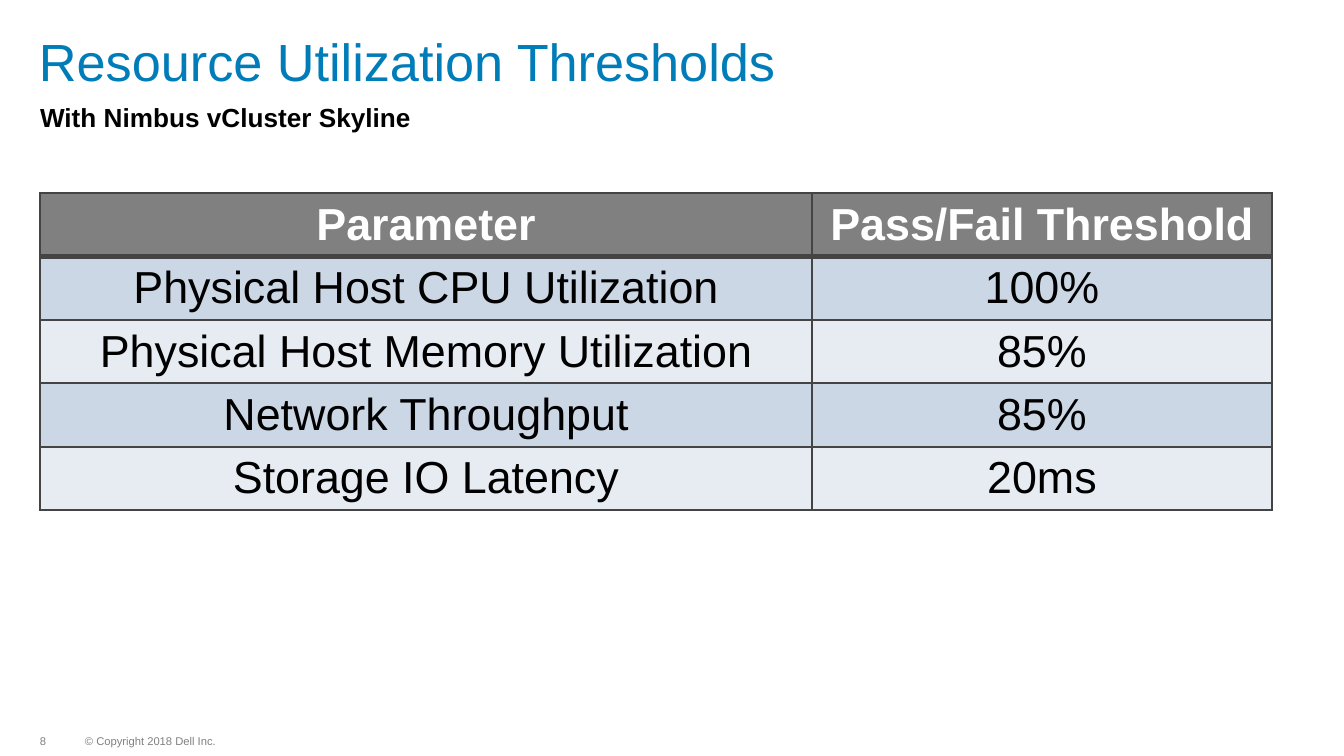
import pptx
import pptx.util
import pptx.dml.color
import pptx.enum.text
import pptx.oxml
import pptx.oxml.ns

RGB = pptx.dml.color.RGBColor
ALIGN = pptx.enum.text.PP_ALIGN
ANCHOR = pptx.enum.text.MSO_ANCHOR

BLUE = RGB(0x00, 0x7D, 0xB8)
BLACK = RGB(0x00, 0x00, 0x00)
WHITE = RGB(0xFF, 0xFF, 0xFF)
GREY = RGB(0x80, 0x80, 0x80)
EDGE = RGB(0x44, 0x44, 0x44)
BANDS = [RGB(0xCC, 0xD7, 0xE6), RGB(0xE7, 0xEC, 0xF3)]

ROWS = [
    ("Parameter", "Pass/Fail Threshold"),
    ("Physical Host CPU Utilization", "100%"),
    ("Physical Host Memory Utilization", "85%"),
    ("Network Throughput", "85%"),
    ("Storage IO Latency", "20ms"),
]
COLS = [772, 460]
ROW = 55


def px(num):
    """Turn px, at 134.4 to the inch, into EMU."""
    return round(num * 914400 / 134.4)


def write(frame, text, size, color, bold=False, align=ALIGN.LEFT, lead=1.0):
    para = frame.paragraphs[0]
    para.text = text
    para.alignment = align
    para.line_spacing = lead
    para.space_before = pptx.util.Pt(0)
    font = para.runs[0].font
    font.name = "Arial"
    font.size = pptx.util.Pt(size)
    font.bold = bold
    font.color.rgb = color


def place(shape, left, top, width, height, anchor=ANCHOR.TOP, wrap=True):
    """Set the bounds of a shape and return its text frame without insets."""
    shape.left, shape.top = px(left), px(top)
    shape.width, shape.height = px(width), px(height)
    frame = shape.text_frame
    frame.margin_left = frame.margin_right = 0
    frame.margin_top = frame.margin_bottom = 0
    frame.vertical_anchor = anchor
    frame.word_wrap = wrap
    frame.auto_size = pptx.enum.text.MSO_AUTO_SIZE.NONE
    return frame


def add_note(slide, text, left, width):
    box = slide.shapes.add_textbox(0, 0, 0, 0)
    frame = place(box, left, 736, width, 12, ANCHOR.MIDDLE, False)
    write(frame, text, 6, GREY, lead=0.9)


def edge(cell, side, width):
    space = pptx.oxml.ns.nsdecls("a")
    line = pptx.oxml.parse_xml(
        f'<a:ln{side} {space} w="{pptx.util.Pt(width)}"><a:solidFill>'
        f'<a:srgbClr val="{EDGE}"/></a:solidFill></a:ln{side}>')
    cell._tc.get_or_add_tcPr().append(line)


def add_grid(slide):
    shape = slide.shapes.add_table(len(ROWS), len(COLS), px(40), px(193),
                                   px(sum(COLS)), px(ROW * len(ROWS)))
    table = shape.table
    for col, width in zip(table.columns, COLS):
        col.width = px(width)
    for r, texts in enumerate(ROWS):
        table.rows[r].height = px(ROW)
        head = r == 0
        for c, text in enumerate(texts):
            cell = table.cell(r, c)
            for side in "LRTB":
                thick = (r, side) in [(0, "B"), (1, "T")]
                edge(cell, side, 3 if thick else 1)
            cell.fill.solid()
            cell.fill.fore_color.rgb = GREY if head else BANDS[(r - 1) % 2]
            write(cell.text_frame, text, 24, WHITE if head else BLACK,
                  bold=head, align=ALIGN.CENTER)


def main():
    deck = pptx.Presentation()
    deck.slide_width, deck.slide_height = px(1344), px(756)
    slide = deck.slides.add_slide(deck.slide_layouts[0])
    title, sub = slide.placeholders
    write(place(title, 39, 36, 1204, 56), "Resource Utilization Thresholds",
          28, BLUE, lead=0.9)
    write(place(sub, 40, 101, 1203, 32), "With Nimbus vCluster Skyline",
          14, BLACK, bold=True)
    add_grid(slide)
    add_note(slide, "8", 40, 13)
    add_note(slide, "© Copyright 2018 Dell Inc.", 85, 133)
    deck.save("out.pptx")


if __name__ == "__main__":
    main()
